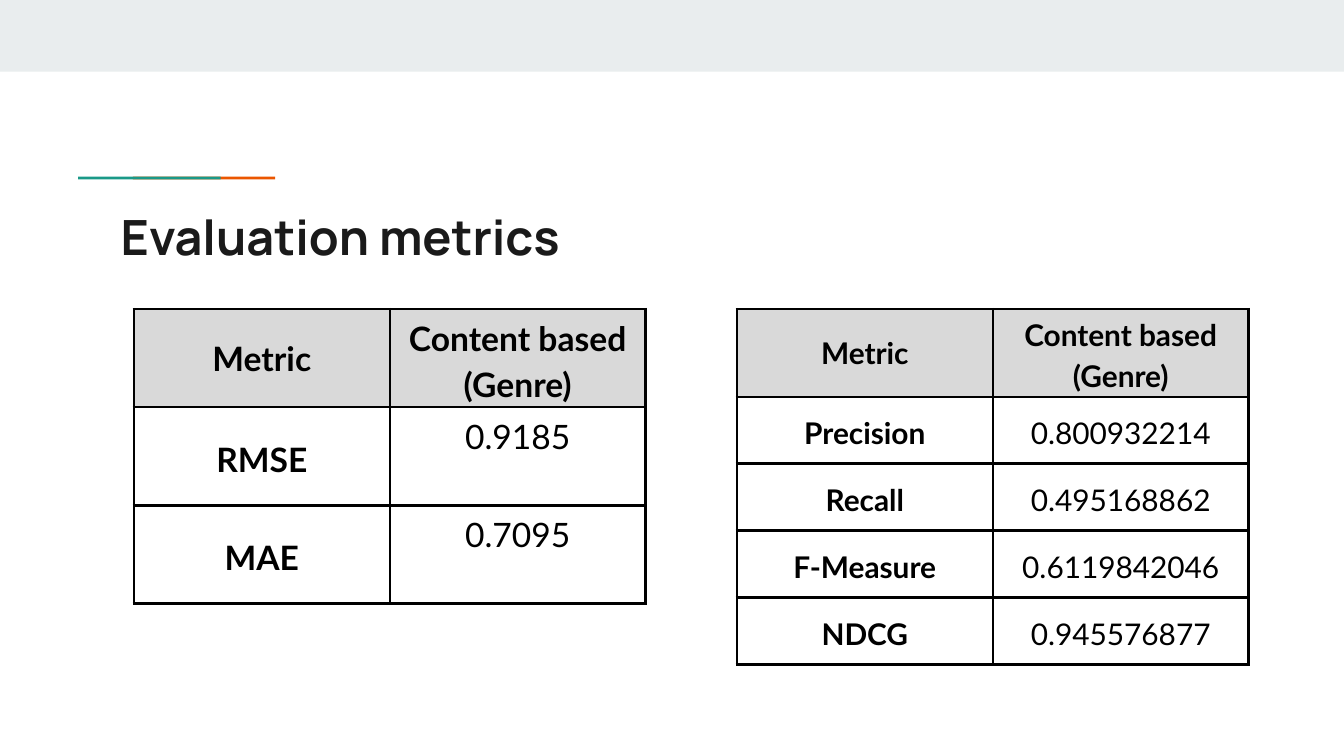
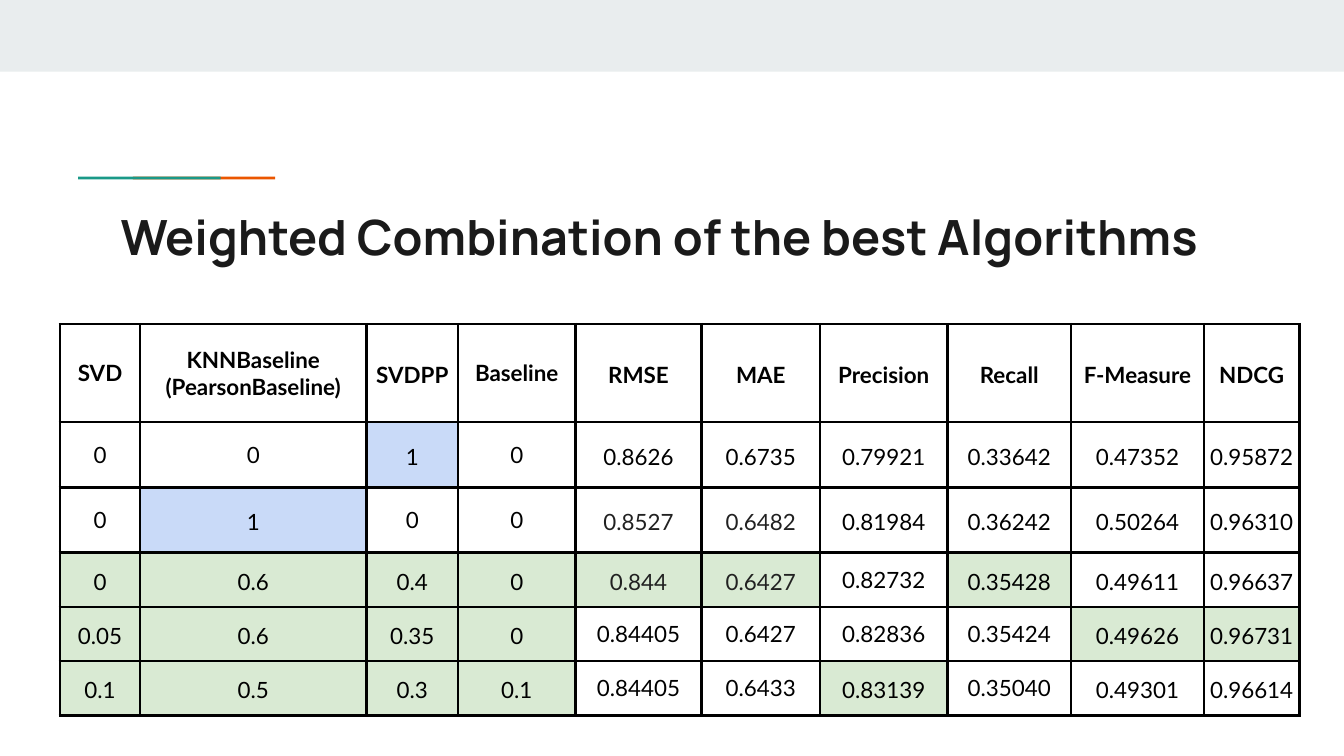
from lxml.etree import SubElement as Sub
from pptx import Presentation
from pptx.dml.color import RGBColor as RGB
from pptx.enum.shapes import MSO_SHAPE as Shape
from pptx.enum.text import MSO_ANCHOR as Anchor, PP_ALIGN as Align
from pptx.oxml.ns import qn
from pptx.util import Inches, Pt

BLACK = RGB(0x00, 0x00, 0x00)
INK = RGB(0x1A, 0x1A, 0x1A)
SOFT = RGB(0x21, 0x21, 0x21)
BAND = RGB(0xE9, 0xED, 0xEE)
TEAL = RGB(0x1A, 0x99, 0x88)
FLAME = RGB(0xEB, 0x56, 0x00)
GREY = RGB(0xD9, 0xD9, 0xD9)
BLUE = RGB(0xC9, 0xDA, 0xF8)
GREEN = RGB(0xD9, 0xEA, 0xD3)

WIDE, HIGH = 100, 56.25  # grid columns and rows
TINTS = {"g": GREY, "b": BLUE, "v": GREEN}
INSETS = {"margin_left": 0.3, "margin_right": 0.3,
          "margin_top": 0.2, "margin_bottom": 0.2}


def grid(count):
    """Length of a number of grid units, a tenth of an inch each."""
    return Inches(count / 10)


def style(font, color, **values):
    for name, value in values.items():
        setattr(font, name, value)
    font.color.rgb = color


def rule(cell, width=1.5):
    """Draw a black line on each side of a cell."""
    props = cell._tc.get_or_add_tcPr()
    for side in ("lnL", "lnR", "lnT", "lnB"):
        line = Sub(props, qn("a:" + side), w=str(Pt(width)))
        fill = Sub(line, qn("a:solidFill"))
        Sub(fill, qn("a:srgbClr"), val=str(BLACK))


class Deck:
    def __init__(self):
        self.file = Presentation()
        self.file.slide_width = grid(WIDE)
        self.file.slide_height = grid(HIGH)

    def page(self, title):
        self.slide = self.file.slides.add_slide(self.file.slide_layouts[6])
        self.bar(0, 0, WIDE, 5.33, BAND)
        for left, color in ((9.88, FLAME), (5.82, TEAL)):
            self.bar(left, 13.15, 10.6, 0.2, color)
        self.title(title)

    def bar(self, left, top, width, height, color):
        box = self.slide.shapes.add_shape(
            Shape.RECTANGLE, *map(grid, (left, top, width, height)))
        box.shadow.inherit = False
        box.fill.solid()
        box.fill.fore_color.rgb = color
        box.line.fill.background()

    def title(self, text):
        box = self.slide.shapes.add_textbox(*map(grid, (8, 14.4, 84.1, 5.9)))
        frame = box.text_frame
        frame.word_wrap = True
        for name in INSETS:
            setattr(frame, name, grid(1))
        frame.text = text
        style(frame.paragraphs[0].runs[0].font, INK,
              name="Manrope", size=Pt(26), bold=True)

    def table(self, left, top, cols, rows, data):
        """Add an empty ruled table with its text and return its cells by row."""
        area = map(grid, (left, top, sum(cols), sum(rows)))
        table = self.slide.shapes.add_table(len(rows), len(cols), *area).table
        table.first_row = table.horz_banding = False
        for col, width in zip(table.columns, cols):
            col.width = grid(width)
        for row, height in zip(table.rows, rows):
            row.height = grid(height)
        for row, texts in zip(table.rows, data):
            for cell, text in zip(row.cells, texts):
                cell.text = text
                rule(cell)
        return [list(row.cells) for row in table.rows]

    def cell(self, cell, size, bold, tint=None, tight=False, color=BLACK,
             anchor=Anchor.MIDDLE):
        for name, inset in INSETS.items():
            setattr(cell, name, grid(inset))
        cell.vertical_anchor = anchor
        if tint:
            cell.fill.solid()
            cell.fill.fore_color.rgb = tint
        else:
            cell.fill.background()
        for para in cell.text_frame.paragraphs:
            para.alignment = Align.CENTER
            para.line_spacing = 1.0 if tight else 1.15
            style(para.runs[0].font, color,
                  name="Lato", size=Pt(size), bold=bold)

    def scores(self, left, rows, size, data, anchor):
        """Add a two-column table of metrics and their values."""
        data = [("Metric", "Content based (Genre)")] + data
        cells = self.table(left, 23, (19.04, 19.04), rows, data)
        for r, (name, value) in enumerate(cells):
            head = r == 0
            tint = GREY if head else None
            self.cell(name, size, True, tint, tight=head)
            self.cell(value, size, head, tint,
                      anchor=Anchor.MIDDLE if head else anchor)

    def blend(self, cols, rows, data, tints, tight, soft):
        """Add the table of weights, tinted and spaced by one code per cell."""
        cells = self.table(4.46, 24.12, cols, rows, data)
        for r, row in enumerate(cells):
            for c, cell in enumerate(row):
                self.cell(cell, 12, r == 0, TINTS.get(tints[r][c]),
                          tight[r][c] == "t", SOFT if (r, c) in soft else BLACK)


RANKS = [("Precision", "0.800932214"), ("Recall", "0.495168862"),
         ("F-Measure", "0.6119842046"), ("NDCG", "0.945576877")]
ERRORS = [("RMSE", "0.9185"), ("MAE", "0.7095")]

HEADS = ["SVD", "KNNBaseline\n(PearsonBaseline)", "SVDPP", "Baseline", "RMSE",
         "MAE", "Precision", "Recall", "F-Measure", "NDCG"]
RUNS = [line.split() for line in (
    "0 0 1 0 0.8626 0.6735 0.79921 0.33642 0.47352 0.95872",
    "0 1 0 0 0.8527 0.6482 0.81984 0.36242 0.50264 0.96310",
    "0 0.6 0.4 0 0.844 0.6427 0.82732 0.35428 0.49611 0.96637",
    "0.05 0.6 0.35 0 0.84405 0.6427 0.82836 0.35424 0.49626 0.96731",
    "0.1 0.5 0.3 0.1 0.84405 0.6433 0.83139 0.35040 0.49301 0.96614")]
FILLS = ["..........", "..b.......", ".b........",
         "vvvvvv.v..", "vvvv....vv", "vvvv..v..."]
TIGHT = ["tt.t......", "tt.t......", "t.tt......",
         "......t...", "....tttt..", "....tt.t.."]
WIDTHS = (5.97, 16.84, 6.83, 8.72, 9.4, 8.8, 9.5, 9.18, 9.9, 7.1)


def main():
    deck = Deck()
    deck.page("Evaluation metrics")
    deck.scores(54.83, [6.5] + [4.98] * 4, 16, RANKS, Anchor.MIDDLE)
    deck.scores(9.96, [7.3] * 3, 18, ERRORS, Anchor.TOP)

    deck.page("Weighted Combination of the best Algorithms")
    deck.blend(WIDTHS, [7.3] + [4.85] * 2 + [4.04] * 3, [HEADS] + RUNS,
               FILLS, TIGHT, {(r, c) for r in (2, 3) for c in (4, 5)})
    deck.file.save("out.pptx")


if __name__ == "__main__":
    main()
